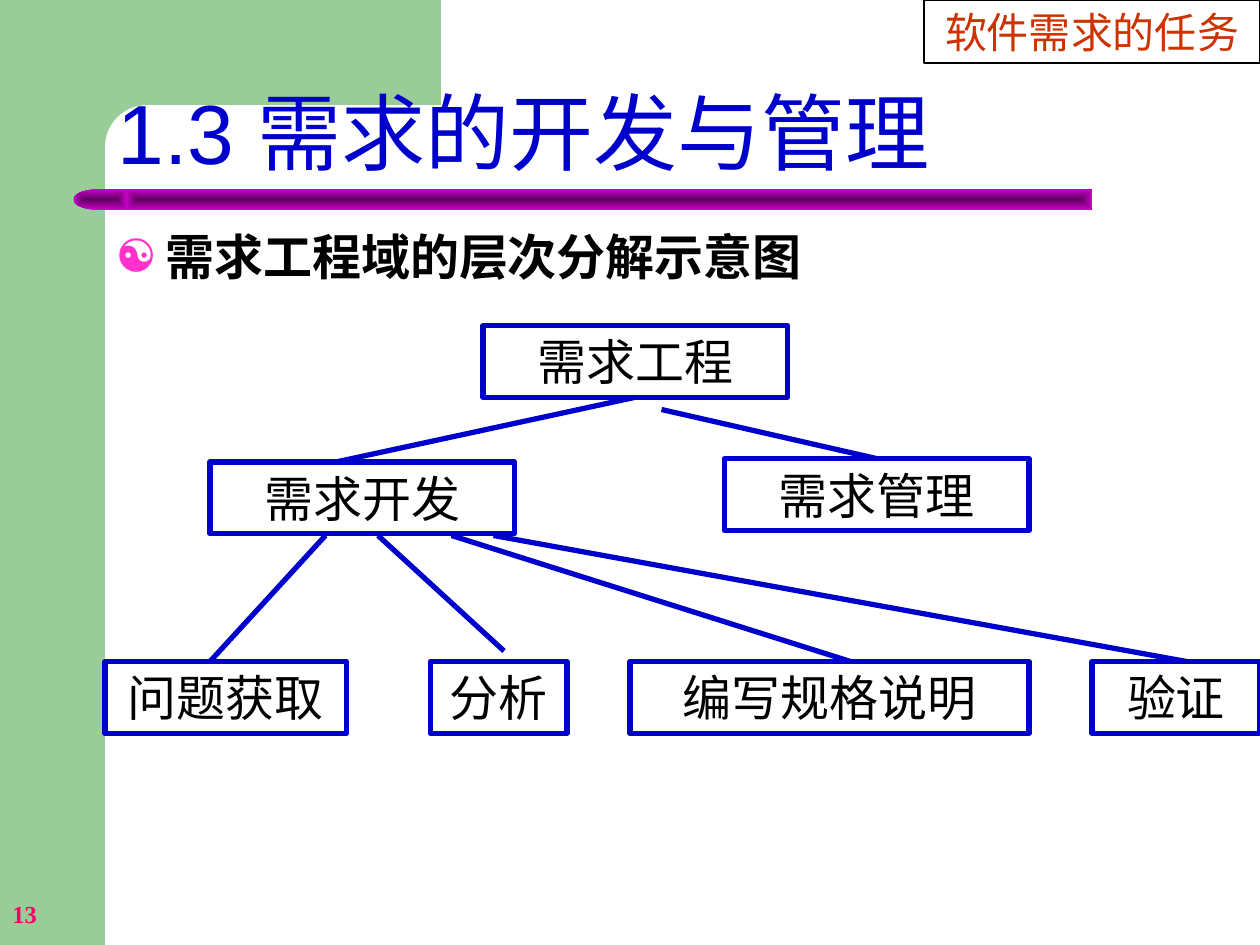
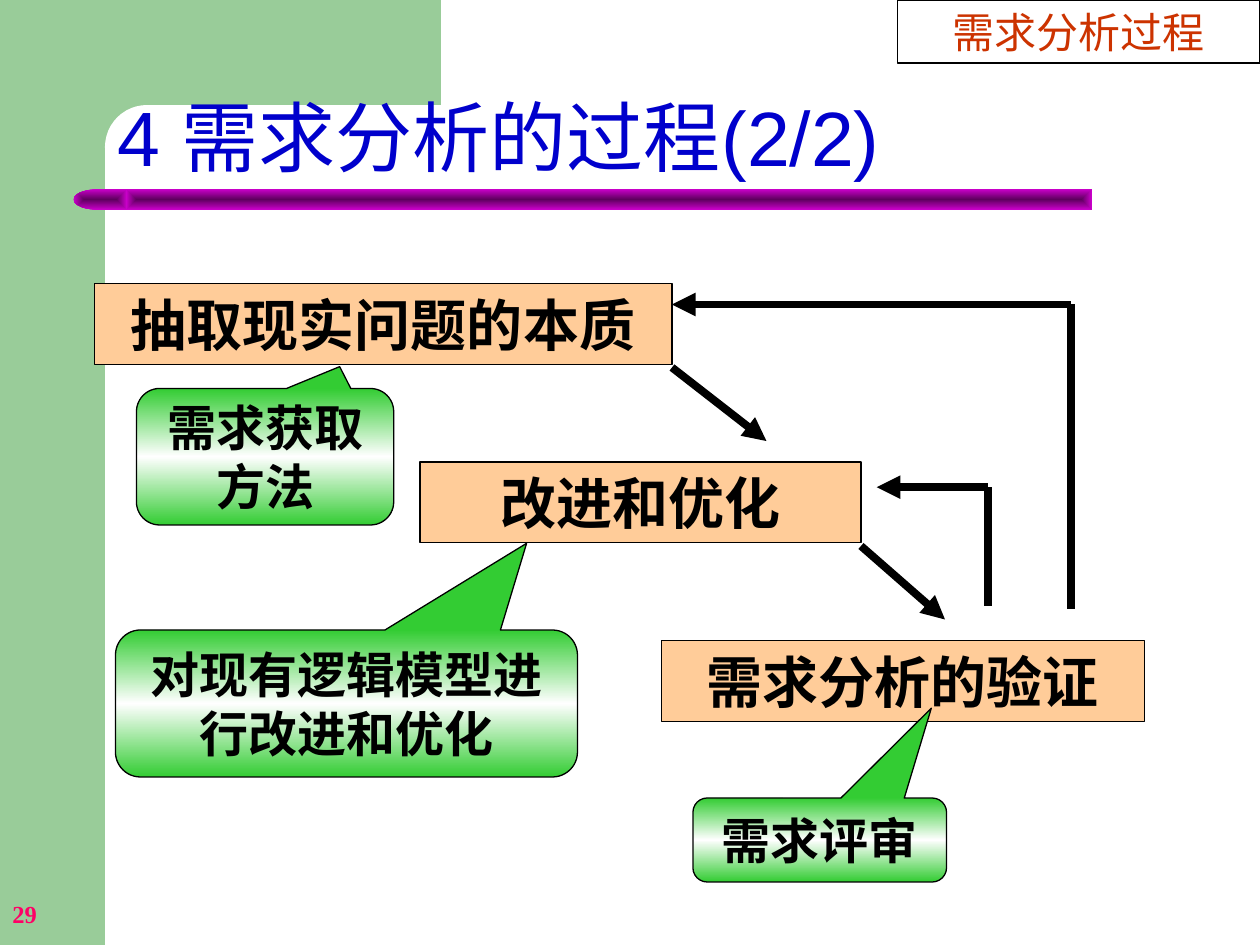
from itertools import pairwise

from lxml import etree
from pptx import Presentation
from pptx.dml.color import RGBColor
from pptx.enum.dml import MSO_THEME_COLOR
from pptx.enum.shapes import MSO_CONNECTOR, MSO_SHAPE
from pptx.enum.text import MSO_ANCHOR, MSO_AUTO_SIZE, PP_ALIGN
from pptx.oxml import parse_xml
from pptx.oxml.ns import nsdecls, qn
from pptx.util import Inches, Pt

RECT, ROUND = MSO_SHAPE.RECTANGLE, MSO_SHAPE.ROUNDED_RECTANGLE
DELAY, CALL = MSO_SHAPE.FLOWCHART_DELAY, MSO_SHAPE.ROUNDED_RECTANGULAR_CALLOUT
LEFT, CENTER = PP_ALIGN.LEFT, PP_ALIGN.CENTER
TOP, MIDDLE, BOTTOM = MSO_ANCHOR.TOP, MSO_ANCHOR.MIDDLE, MSO_ANCHOR.BOTTOM
STRAIGHT, NO_FIT = MSO_CONNECTOR.STRAIGHT, MSO_AUTO_SIZE.NONE
PAPER = MSO_THEME_COLOR.BACKGROUND_1

SAGE = RGBColor(0x99, 0xCC, 0x99)
PLUM = RGBColor(0x5E, 0x00, 0x5E)
VIOLET = RGBColor(0xCC, 0x00, 0xCC)
BLUE = RGBColor(0x00, 0x00, 0xCC)
RUST = RGBColor(0xCC, 0x33, 0x00)
ROSE = RGBColor(0xFF, 0x00, 0x66)
PINK = RGBColor(0xFF, 0x33, 0xCC)
PEACH = RGBColor(0xFF, 0xCC, 0x99)
GREEN = RGBColor(0x33, 0xCC, 0x33)
WHITE = RGBColor(0xFF, 0xFF, 0xFF)
BLACK = RGBColor(0x00, 0x00, 0x00)

SERIF, SANS, HAN = "Times New Roman", "Arial", "Noto Sans CJK SC"

# The grid has 120 columns and 90 rows, twelve to the inch
COLS, ROWS = 120, 90

# Slide 1: the tree of requirements work
TREE = {
    "title": "1.3 需求的开发与管理", "size": 48, "page": "13",
    "tag": "软件需求的任务", "tag_w": 32,
    "lead": "需求工程域的层次分解示意图",
}
NODE_H = 6.84
NODES = [  # text, column, row, width
    ("需求工程", 46, 31, 29),
    ("需求开发", 20, 44, 29),
    ("需求管理", 69, 43.68, 29),
    ("问题获取", 10, 63, 23),
    ("分析", 41, 63, 13),
    ("编写规格说明", 60, 63, 38),
    ("验证", 104, 63, 16),
]
LINKS = [  # start, end, node joined at its bottom, node joined at its top
    ((61, 38), (32, 44), "需求工程", None),
    ((63, 39), (84, 44), None, "需求管理"),
    ((31, 51), (20, 63), None, None),
    ((36, 51), (48, 62), None, None),
    ((43, 51), (81, 63), None, None),
    ((47, 51), (113, 63), None, None),
]

# Slide 2: the steps and the ways back
FLOW = {
    "title": "4 需求分析的过程(2/2)", "size": 44, "page": "29",
    "tag": "需求分析过程", "tag_w": 34.5,
}
STEP_H = 7.7
STEPS = [  # text, column, row, width
    ("抽取现实问题的本质", 9, 27, 55),
    ("改进和优化", 40, 44, 42),
    ("需求分析的验证", 63, 61, 46),
]
ROUTES = [  # corner points, the last one has the arrowhead
    [(64, 35), (73, 42)],
    [(82, 52), (90, 59)],
    [(102, 58), (102, 29), (64, 29)],
    [(94.1, 57.7), (94.1, 46.4), (83.5, 46.4)],
]
NOTES = [  # text, place, tip of the pointer as shares of the size
    ("需求获取方法", (13, 37, 24.5, 13), (0.29, -0.66)),
    ("对现有逻辑模型进行改进和优化", (11, 60, 44, 14), (0.39, -1.09)),
    ("需求评审", (66, 76, 24.15, 8), (0.44, -1.57)),
]


def cell(*vals):
    return [Inches(v / 12) for v in vals]


def move(part, box):
    part.left, part.top, part.width, part.height = cell(*box)


def write(part, text, size, color, font=SERIF, bold=False,
          align=CENTER, anchor=MIDDLE, wrap=True):
    frame = part.text_frame
    frame.text = text
    frame.word_wrap = wrap
    frame.auto_size = NO_FIT
    frame.vertical_anchor = anchor
    para = frame.paragraphs[0]
    para.alignment = align
    para.space_before = Pt(0)
    for run in para.runs:
        run.font.size, run.font.bold, run.font.name = Pt(size), bold, font
        run.font.color.rgb = color
        east = etree.SubElement(run.font._element, qn("a:ea"))
        east.set("typeface", HAN)
    return para


def add_box(slide, box, kind=RECT, fill=None, line=None, width=0.75):
    part = slide.shapes.add_shape(kind, *cell(*box))
    part.shadow.inherit = False
    if fill is None:
        part.fill.background()
    else:
        part.fill.solid()
        part.fill.fore_color.rgb = fill
    if line is None:
        part.line.fill.background()
    else:
        part.line.color.rgb = line
        part.line.width = Pt(width)
    return part


def blend(part, colors, way):
    """Fill an unfilled part with evenly spaced colours."""
    step = 100000 // (len(colors) - 1)
    stops = "".join(f'<a:gs pos="{i * step}"><a:srgbClr val="{c}"/></a:gs>'
                    for i, c in enumerate(colors))
    grad = parse_xml(f'<a:gradFill {nsdecls("a")} rotWithShape="1">'
                     f'<a:gsLst>{stops}</a:gsLst>{way}</a:gradFill>')
    props = part._element.spPr
    props.replace(props.find(qn("a:noFill")), grad)


def add_line(slide, start, end, color, width, arrow=False):
    line = slide.shapes.add_connector(STRAIGHT, *cell(*start, *end))
    line.line.color.rgb = color
    line.line.width = Pt(width)
    if arrow:
        head = etree.SubElement(line.line._get_or_add_ln(), qn("a:tailEnd"))
        head.set("type", "triangle")
    etree.SubElement(line._element.spPr, qn("a:effectLst"))
    return line


def dress(prs, slide):
    """Draw the bands once and hand them to the slide master."""
    glow = ('<a:path path="rect"><a:fillToRect l="50000" t="50000" '
            'r="50000" b="50000"/></a:path>')
    side = add_box(slide, (0, 0, 10, ROWS), fill=SAGE)
    roof = add_box(slide, (9, 0, 33, 14), fill=SAGE)
    curve = add_box(slide, (10, 10, 67, 8), ROUND, WHITE)
    curve.adjustments[0] = 0.5
    bar = add_box(slide, (12, 18, 92, 2), ROUND)
    bar.adjustments[0] = 0
    cap = add_box(slide, (7, 18, 5.1, 2), DELAY)
    cap.rotation = 180
    for part in (bar, cap):
        blend(part, (PLUM, VIOLET), glow)
    tree = prs.slide_master.shapes._spTree
    for i, part in enumerate((side, roof, curve, bar, cap)):
        part._element.nvSpPr.cNvPr.set("id", str(20 + i))
        tree.insert(2 + i, part._element)


def add_slide(prs, layout, info):
    slide = prs.slides.add_slide(prs.slide_layouts[layout])
    title = slide.shapes.title
    move(title, (10, 8, 105, 10))
    para = write(title, info["title"], info["size"], BLUE, SANS,
                 align=LEFT, anchor=BOTTOM)
    para.line_spacing = 0.9
    page = slide.shapes.add_textbox(*cell(0, 84, 25, 6))
    write(page, info["page"], 14, ROSE, bold=True, align=LEFT, wrap=False)
    wide = info["tag_w"]
    tag = add_box(slide, (COLS - wide, 0, wide, 6), line=BLACK)
    write(tag, info["tag"], 24, RUST)
    return slide


def add_lead(slide, text):
    body = slide.placeholders[1]
    move(body, (10, 21, 88, 8))
    para = write(body, text, 28, BLACK, bold=True, align=LEFT, anchor=TOP)
    props = para._p.get_or_add_pPr()
    props.set("marL", str(Inches(0.38)))
    props.set("indent", str(-Inches(0.38)))
    tint = etree.SubElement(props, qn("a:buClr"))
    etree.SubElement(tint, qn("a:srgbClr")).set("val", str(PINK))
    for name, key, val in (("a:buSzPct", "val", "90000"),
                           ("a:buFont", "typeface", SANS),
                           ("a:buChar", "char", "☯")):
        etree.SubElement(props, qn(name)).set(key, val)


def draw_tree(slide):
    add_lead(slide, TREE["lead"])
    nodes = {}
    for text, col, row, wide in NODES:
        node = add_box(slide, (col, row, wide, NODE_H), line=BLUE, width=3)
        write(node, text, 28, BLACK, HAN)
        nodes[text] = node
    for start, end, above, below in LINKS:
        link = add_line(slide, start, end, BLUE, 3)
        if above:
            link.begin_connect(nodes[above], 2)
        if below:
            link.end_connect(nodes[below], 0)


def draw_flow(slide):
    for text, col, row, wide in STEPS:
        step = add_box(slide, (col, row, wide, STEP_H), fill=PEACH, line=BLACK)
        write(step, text, 32, BLACK, bold=True)
    for route in ROUTES:
        for start, end in pairwise(route):
            add_line(slide, start, end, BLACK, 4.5, arrow=end == route[-1])
    for text, box, tip in NOTES:
        note = add_box(slide, box, CALL, line=BLACK)
        for i, share in enumerate((*tip, 0.17)):
            note.adjustments[i] = share
        blend(note, (GREEN, WHITE, GREEN), '<a:lin ang="5400000" scaled="0"/>')
        write(note, text, 28, BLACK, bold=True)


def main():
    prs = Presentation()
    prs.slide_width, prs.slide_height = cell(COLS, ROWS)
    back = prs.slide_master.background.fill
    back.solid()
    back.fore_color.theme_color = PAPER
    first = add_slide(prs, 1, TREE)
    dress(prs, first)
    draw_tree(first)
    draw_flow(add_slide(prs, 5, FLOW))
    prs.save("out.pptx")


if __name__ == "__main__":
    main()
